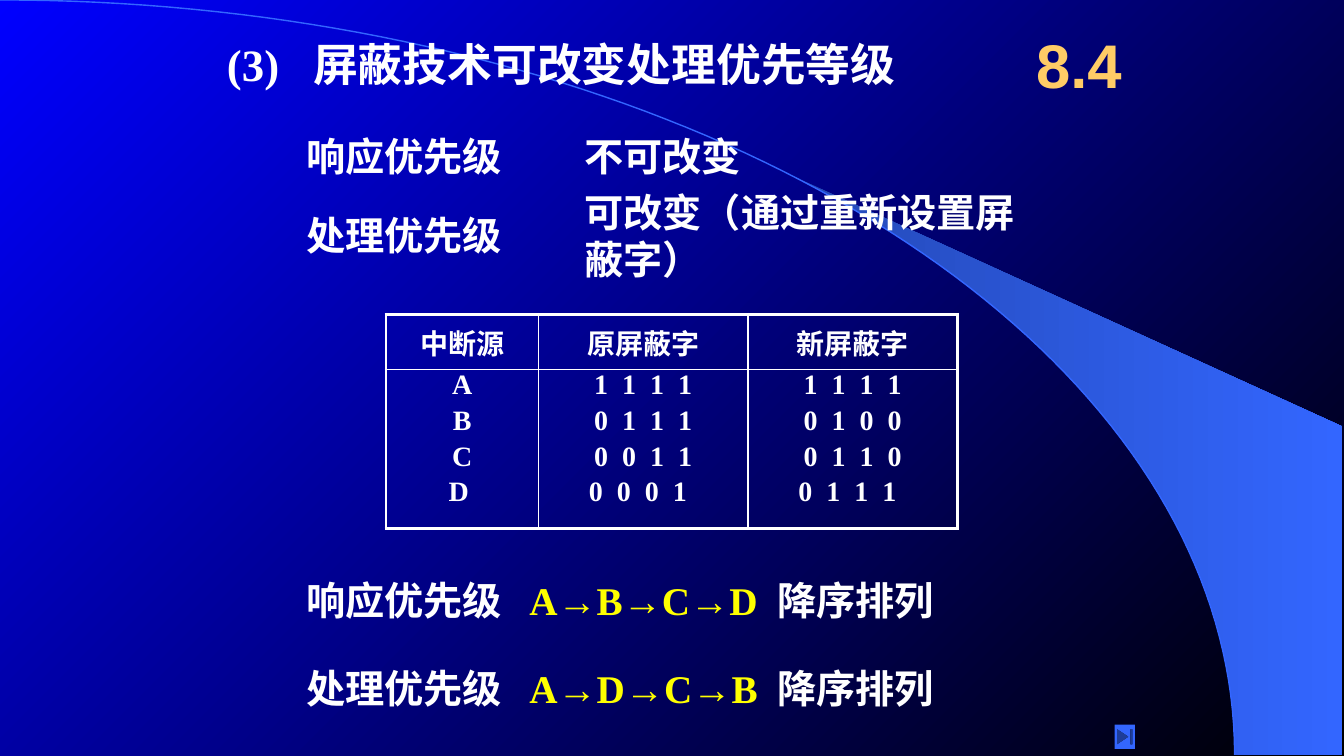
import math

from lxml import etree
from pptx import Presentation, util as u
from pptx.dml.color import RGBColor
from pptx.enum import shapes, text
from pptx.oxml.ns import qn

Cm, Pt = u.Cm, u.Pt
WHITE, YELLOW, GOLD, BLUE = "FFFFFF", "FFFF00", "FFCC66", "3366FF"
SERIF = {"name": "Times New Roman", "bold": True}
TITLE = {**SERIF, "size": Pt(32)}
BODY = {**SERIF, "size": Pt(28)}
CELL = {**SERIF, "size": Pt(20)}
SECTION = {"name": "Arial", "bold": True, "size": Pt(44)}


def rgb(color):
    return RGBColor.from_string(color)


def set_gradient(fill, start, end, angle):
    fill.gradient()
    fill.gradient_angle = angle
    for stop, color in zip(fill.gradient_stops, (start, end)):
        stop.color.rgb = rgb(color)


def add_run(p, content, fmt, color=WHITE):
    r = p.add_run()
    r.text = content
    for name, value in fmt.items():
        setattr(r.font, name, value)
    r.font.color.rgb = rgb(color)
    return r


def add_text(slide, box, runs, fmt, align=text.PP_ALIGN.LEFT, tab=None):
    """Place one line of (text, colour) runs; tab is a stop in cm."""
    tf = slide.shapes.add_textbox(*map(Cm, box)).text_frame
    frame = {"margin_left": 0, "margin_top": 0, "margin_right": 0, "margin_bottom": 0,
             "vertical_anchor": text.MSO_ANCHOR.MIDDLE, "word_wrap": tab is not None}
    for name, value in frame.items():
        setattr(tf, name, value)
    p = tf.paragraphs[0]
    p.alignment = align
    if tab is not None:
        tabs = etree.SubElement(p._p.get_or_add_pPr(), qn("a:tabLst"))
        etree.SubElement(tabs, qn("a:tab"), pos=str(Cm(tab)), algn="l")
    for content, color in runs:
        add_run(p, content, fmt, color)


def add_outline(slide, points, close):
    points = [(Cm(x), Cm(y)) for x, y in points]
    builder = slide.shapes.build_freeform(*points[0])
    builder.add_line_segments(points[1:], close=close)
    sp = builder.convert_to_shape()
    sp.shadow.inherit = False
    return sp


def add_backdrop(slide, box):
    """Gradient background with a quarter-ellipse edge and a beam beyond it."""
    left, top, width, height = box
    set_gradient(slide.background.fill, "0000FF", "000000", 315)
    rx = width * 0.92

    def arc(start, steps):
        angles = (start + (math.pi / 2 - start) * i / steps for i in range(steps + 1))
        return [(left + rx * math.sin(t), top + height * (1 - math.cos(t))) for t in angles]

    corner = [(left + width, top + height), (left + width, top + height * 0.565)]
    beam = add_outline(slide, arc(0.696, 40) + corner, True)
    set_gradient(beam.fill, "2449B6", BLUE, 0)
    beam.line.fill.background()

    edge = add_outline(slide, arc(0, 80), False)
    edge.fill.background()
    edge.line.color.rgb = rgb(BLUE)
    edge.line.width = Pt(1)


def add_heading(slide, box):
    left, top, width, height = box
    add_text(slide, (left, top, 19.02, height), [("(3)\t屏蔽技术可改变处理优先等级", WHITE)],
             TITLE, tab=2.17)
    add_text(slide, (left + width - 3.18, top - 0.48, 3.18, 2.34), [("8.4", GOLD)],
             SECTION, text.PP_ALIGN.CENTER)


def add_rules(slide, box):
    left, top, width, height = box
    rules = [("响应优先级", "不可改变"), ("处理优先级", "可改变（通过重新设置屏蔽字）")]
    for i, (label, rule) in enumerate(rules):
        y = top + 2 * i
        add_text(slide, (left, y, 5.94, height), [(label, WHITE)], BODY)
        add_text(slide, (left + 7.01, y, width - 7.01, height), [(rule, WHITE)], BODY)


def add_orders(slide, box):
    left, top, width, height = box
    orders = [("响应优先级", "A→B→C→D"), ("处理优先级", "A→D→C→B")]
    for i, (label, order) in enumerate(orders):
        runs = [(label + "\t", WHITE), (order + " ", YELLOW), (" 降序排列", WHITE)]
        add_text(slide, (left, top + 2.21 * i, width, height), runs, BODY, tab=5.62)


def set_borders(cell, widths):
    tc_pr = cell._tc.get_or_add_tcPr()
    for i, (side, width) in enumerate(widths.items()):
        ln = etree.Element(qn(f"a:ln{side}"), w=str(Pt(width)))
        fill = etree.SubElement(ln, qn("a:solidFill"))
        etree.SubElement(fill, qn("a:srgbClr"), val=WHITE)
        tc_pr.insert(i, ln)


def add_mask_table(slide, box):
    heads = ["中断源", "原屏蔽字", "新屏蔽字"]
    masks = [["A", "B", "C", "D "],
             ["1 1 1 1", "0 1 1 1", "0 0 1 1", "0 0 0 1 "],
             ["1 1 1 1", "0 1 0 0", "0 1 1 0", "0 1 1 1 "]]
    rows = [[[head] for head in heads], masks]
    table = slide.shapes.add_table(2, 3, *map(Cm, box)).table
    table.first_row = table.horz_banding = False
    for col, width in zip(table.columns, (3.84, 5.28, 5.28)):
        col.width = Cm(width)
    for row, height in zip(table.rows, (1.4, 3.99)):
        row.height = Cm(height)
    for i, row in enumerate(rows):
        for j, lines in enumerate(row):
            cell = table.cell(i, j)
            cell.fill.background()
            cell.margin_left = cell.margin_right = cell.margin_top = cell.margin_bottom = 0
            cell.vertical_anchor = text.MSO_ANCHOR.TOP if i else text.MSO_ANCHOR.MIDDLE
            set_borders(cell, {"L": 1 if j else 2.25, "R": 2.25 if j == 2 else 1,
                               "T": 1 if i else 2.25, "B": 2.25 if i else 1})
            tf = cell.text_frame
            for k, line in enumerate(lines):
                p = tf.add_paragraph() if k else tf.paragraphs[0]
                p.alignment = text.PP_ALIGN.CENTER
                if k:
                    p.space_before = Pt(3.3)
                r = add_run(p, line, CELL)
                if i and j:
                    r._r.get_or_add_rPr().set("spc", "250")


def add_end_button(slide, box):
    sp = slide.shapes.add_shape(shapes.MSO_SHAPE.ACTION_BUTTON_END, *map(Cm, box))
    sp.shadow.inherit = False
    sp.fill.solid()
    sp.fill.fore_color.rgb = rgb(BLUE)
    sp.line.fill.background()


def main():
    prs = Presentation()
    prs.slide_width, prs.slide_height = Cm(33.87), Cm(19.05)
    slide = prs.slides.add_slide(prs.slide_layouts[6])
    add_backdrop(slide, (0, 0, 33.82, 19.02))
    add_heading(slide, (5.72, 0.91, 23.06, 1.4))
    add_rules(slide, (7.72, 3.33, 18.21, 1.19))
    add_mask_table(slide, (9.73, 7.92, 14.4, 5.39))
    add_orders(slide, (7.72, 14.53, 18.21, 1.19))
    add_end_button(slide, (28.09, 18.26, 0.51, 0.61))
    prs.save("out.pptx")


if __name__ == "__main__":
    main()
